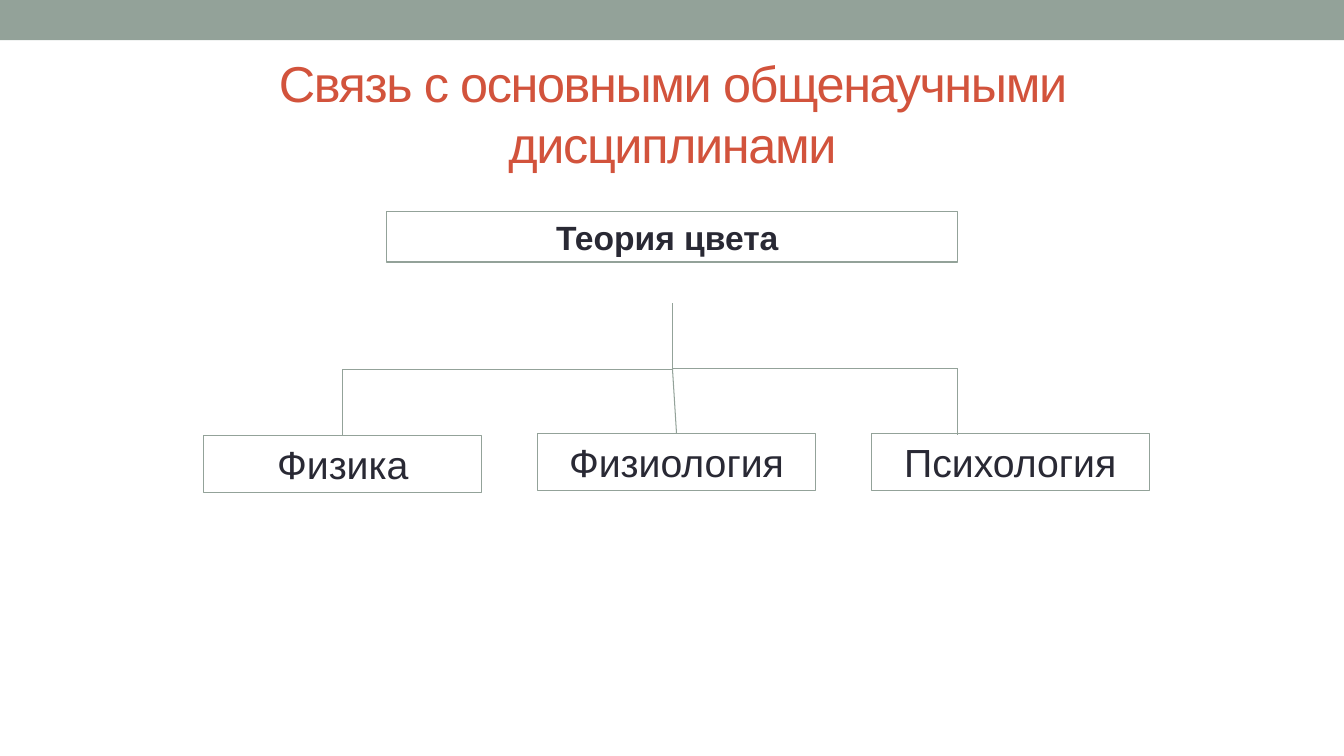
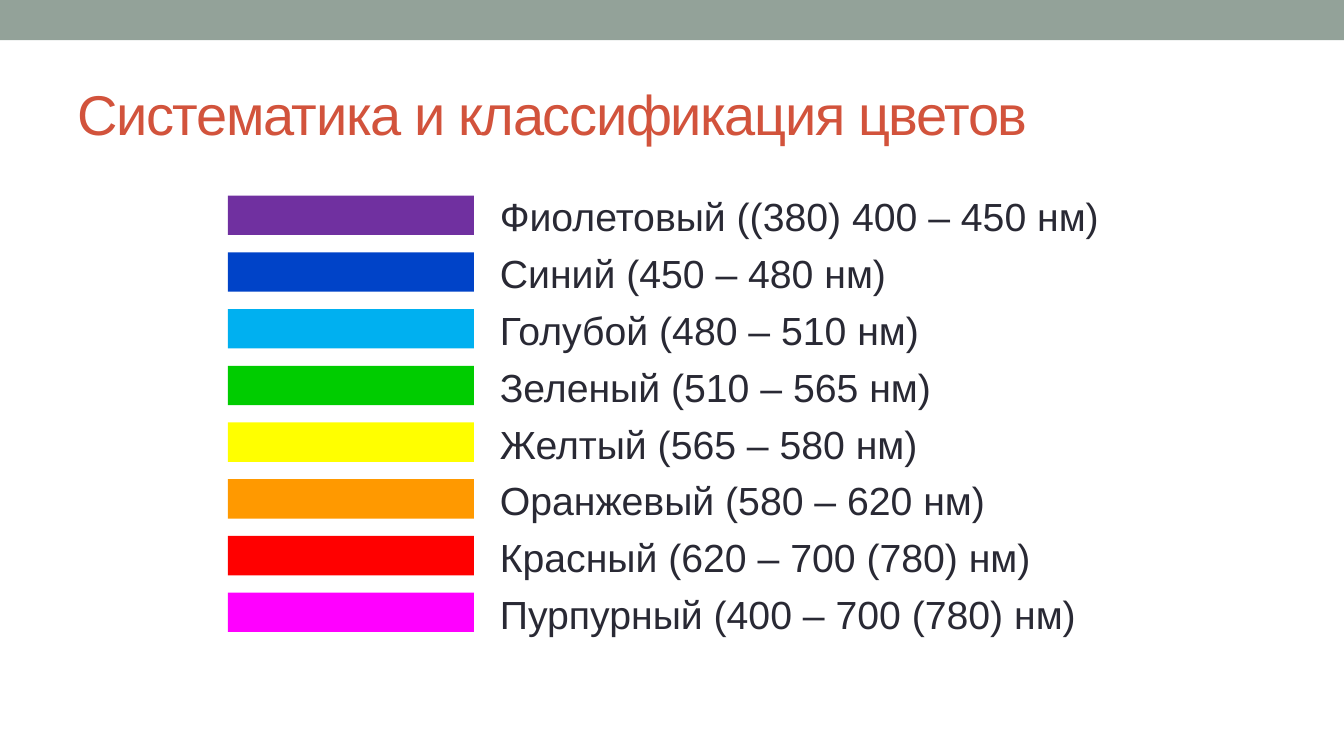
from dataclasses import dataclass

from lxml import etree
from pptx import Presentation
from pptx import util as u
from pptx.dml.color import RGBColor
from pptx.enum import shapes, text
from pptx.oxml.ns import qn


@dataclass(frozen=True)
class Theme:
    """Colours, font and type sizes of the deck."""
    font: str = "Arial"
    sage: str = "93A299"
    rust: str = "D2533C"
    ink: str = "292934"
    title: int = 40
    long: int = 36
    body: int = 28
    head: int = 24
    line: float = 0.75
    gap: int = 7


class Deck:
    """Holds the style and the current slide."""

    def __init__(self, theme):
        """Start an empty wide presentation."""
        self.theme = theme
        self.prs = Presentation()
        self.prs.slide_width = u.Inches(13.33)
        self.prs.slide_height = u.Inches(7.5)
        self.slide = None

    def page(self):
        """Add a slide with the top band."""
        self.slide = self.prs.slides.add_slide(self.prs.slide_layouts[6])
        self.bar(0, 0, 13.33, 0.4, self.theme.sage)

    def style(self, par, size, color, bold=False):
        """Format the runs of a paragraph."""
        for run in par.runs:
            font = run.font
            font.name = self.theme.font
            font.size = u.Pt(size)
            font.bold = bold
            font.color.rgb = RGBColor.from_string(color)

    def rect(self, *area):
        """Add a plain rectangle."""
        shape = self.slide.shapes.add_shape(
            shapes.MSO_SHAPE.RECTANGLE, *map(u.Inches, area))
        shape.shadow.inherit = False
        return shape

    def bar(self, x, y, w, h, color):
        """Add a filled bar without outline."""
        shape = self.rect(x, y, w, h)
        shape.fill.solid()
        shape.fill.fore_color.rgb = RGBColor.from_string(color)
        shape.line.fill.background()

    def stroke(self, line):
        """Apply the thin outline."""
        line.color.rgb = RGBColor.from_string(self.theme.sage)
        line.width = u.Pt(self.theme.line)

    def box(self, words, x, y, w, h, size, bold=False):
        """Add an outlined box with centred text."""
        shape = self.rect(x, y, w, h)
        shape.fill.background()
        self.stroke(shape.line)
        frame = shape.text_frame
        frame.text = words
        frame.word_wrap = True
        frame.vertical_anchor = text.MSO_ANCHOR.TOP
        par = frame.paragraphs[0]
        par.alignment = text.PP_ALIGN.CENTER
        self.style(par, size, self.theme.ink, bold)
        return shape

    def frame(self, words, x, y, w, h):
        """Add a wrapping text box."""
        area = map(u.Inches, (x, y, w, h))
        frame = self.slide.shapes.add_textbox(*area).text_frame
        frame.word_wrap = True
        frame.text = words
        return frame

    def title(self, words, x, w, size, align=text.PP_ALIGN.LEFT):
        """Add the slide title."""
        frame = self.frame(words, x, 0.58, w, 1.08)
        frame.vertical_anchor = text.MSO_ANCHOR.MIDDLE
        par = frame.paragraphs[0]
        par.alignment = align
        self.style(par, size, self.theme.rust)
        for run in par.runs:
            run.font._element.set("spc", "-100")

    def lines(self, items, x, y, w, h):
        """Add a list of evenly spaced lines."""
        frame = self.frame("\n".join(items), x, y, w, h)
        for row, par in enumerate(frame.paragraphs):
            par.space_before = u.Pt(self.theme.gap if row else 0)
            self.style(par, self.theme.body, self.theme.ink)

    def link(self, start, end, kind=shapes.MSO_CONNECTOR.STRAIGHT):
        """Add a thin connector."""
        link = self.slide.shapes.add_connector(
            kind, *map(u.Inches, (*start, *end)))
        self.stroke(link.line)
        etree.SubElement(link.element.spPr, qn("a:effectLst"))
        return link

    def elbow(self, start, end):
        """Add an elbow that leaves downwards and turns left."""
        (x1, y1), (x2, y2) = start, end
        mid_x, mid_y = (x1 + x2) / 2, (y1 + y2) / 2
        half_w, half_h = (y2 - y1) / 2, (x1 - x2) / 2
        link = self.link((mid_x - half_w, mid_y - half_h),
                         (mid_x + half_w, mid_y + half_h),
                         shapes.MSO_CONNECTOR.ELBOW)
        link.element.spPr.find(qn("a:xfrm")).set("rot", "5400000")


def links(deck):
    """Build the slide on related sciences."""
    theme = deck.theme
    deck.page()
    deck.title("Связь с основными общенаучными дисциплинами",
               2.17, 9, theme.long, text.PP_ALIGN.CENTER)
    deck.box("Теория цвета ", 3.83, 2.1, 5.67, 0.5, theme.head, True)
    names = (("Физика", 4.32), ("Физиология", 4.3), ("Психология", 4.3))
    boxes = [deck.box(name, 2.02 + 3.31 * col, top, 2.76, 0.57, theme.body)
             for col, (name, top) in enumerate(names)]
    fork, turn = (6.67, 3.66), (9.5, 3.66)
    deck.elbow((6.67, 3.01), (3.4, 4.32))
    deck.link(fork, turn)
    deck.link(turn, (9.5, 4.32))
    deck.link(fork, (6.71, 4.3)).end_connect(boxes[1], 0)


def colours(deck):
    """Build the slide on the classes of colour."""
    deck.page()
    deck.title("Систематика и классификация цветов",
               0.67, 12, deck.theme.title)
    bands = (
        ("Фиолетовый ((380) 400 – 450 нм)", "7030A0"),
        ("Синий (450 – 480 нм)", "0043C8"),
        ("Голубой (480 – 510 нм)", "00B0F0"),
        ("Зеленый (510 – 565 нм)", "00CC00"),
        ("Желтый (565 – 580 нм)", "FFFF00"),
        ("Оранжевый (580 – 620 нм)", "FF9900"),
        ("Красный (620 – 700 (780) нм)", "FF0000"),
        ("Пурпурный (400 – 700 (780) нм)", "FF00FF"),
    )
    deck.lines([name for name, _ in bands], 4.86, 1.86, 6.54, 5.14)
    top, last = 1.94, 5.88
    step = (last - top) / (len(bands) - 1)
    for row, (_, color) in enumerate(bands):
        deck.bar(2.26, top + step * row, 2.44, 0.39, color)


def main():
    """Build and save the deck."""
    deck = Deck(Theme())
    links(deck)
    colours(deck)
    deck.prs.save("out.pptx")


if __name__ == "__main__":
    main()
